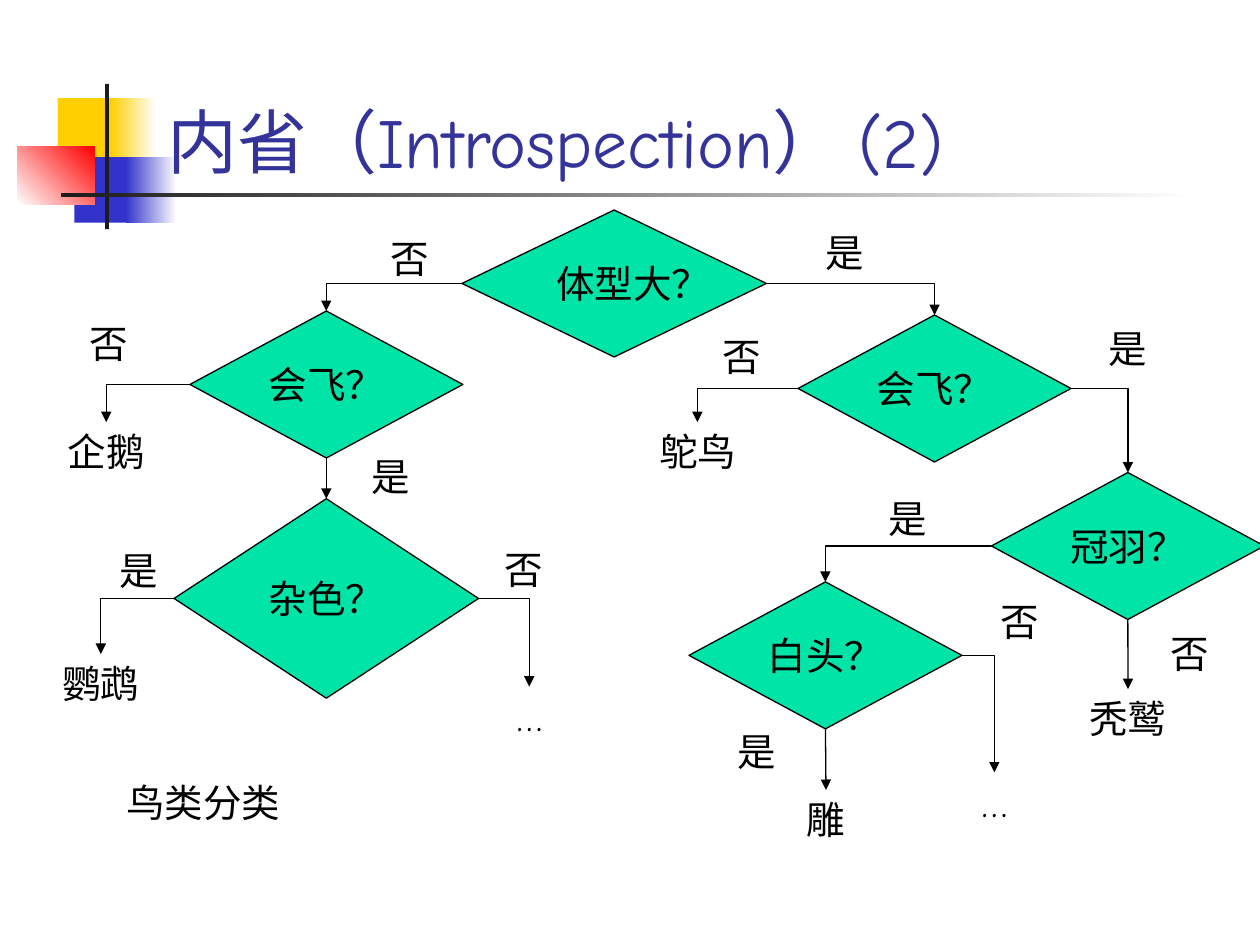
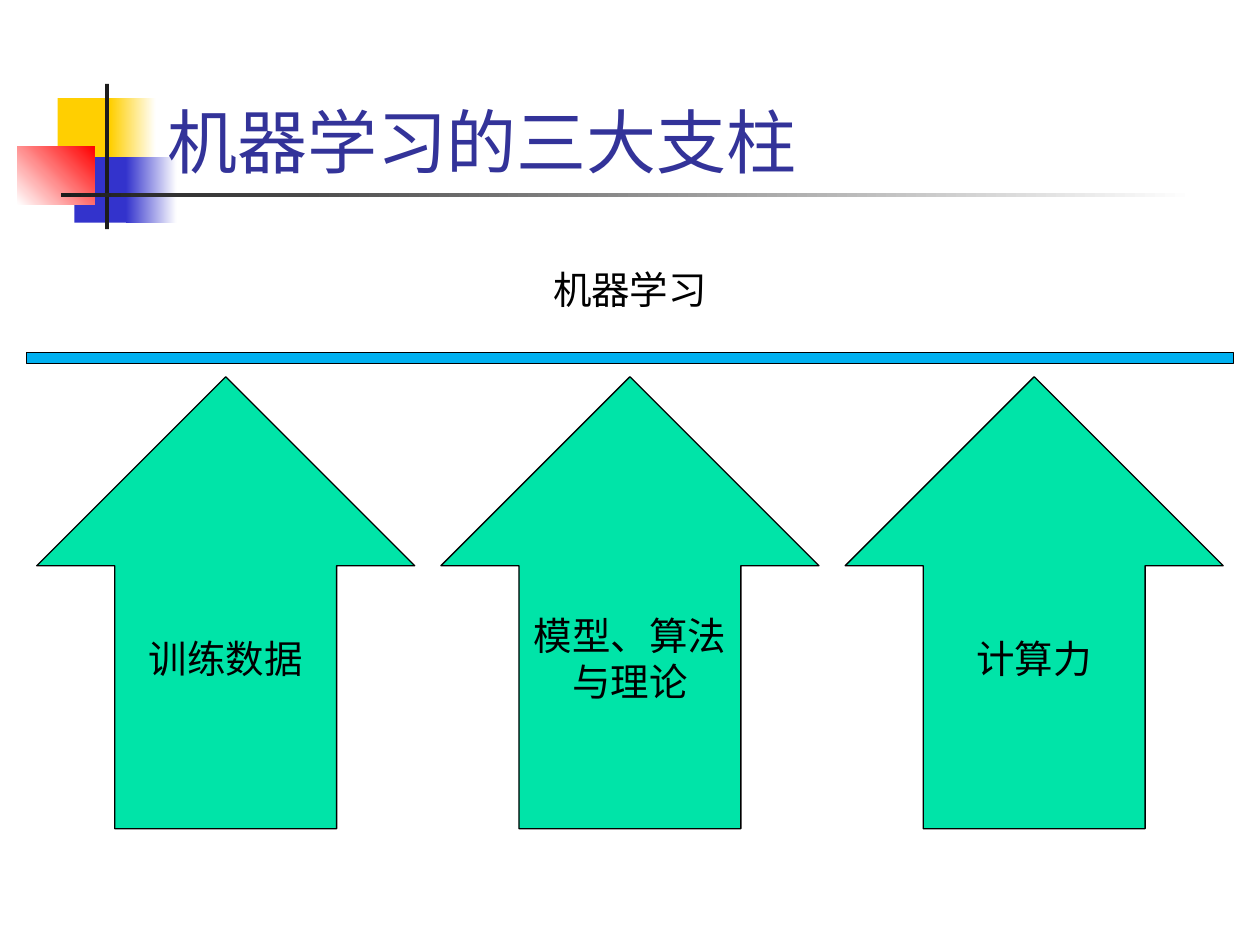
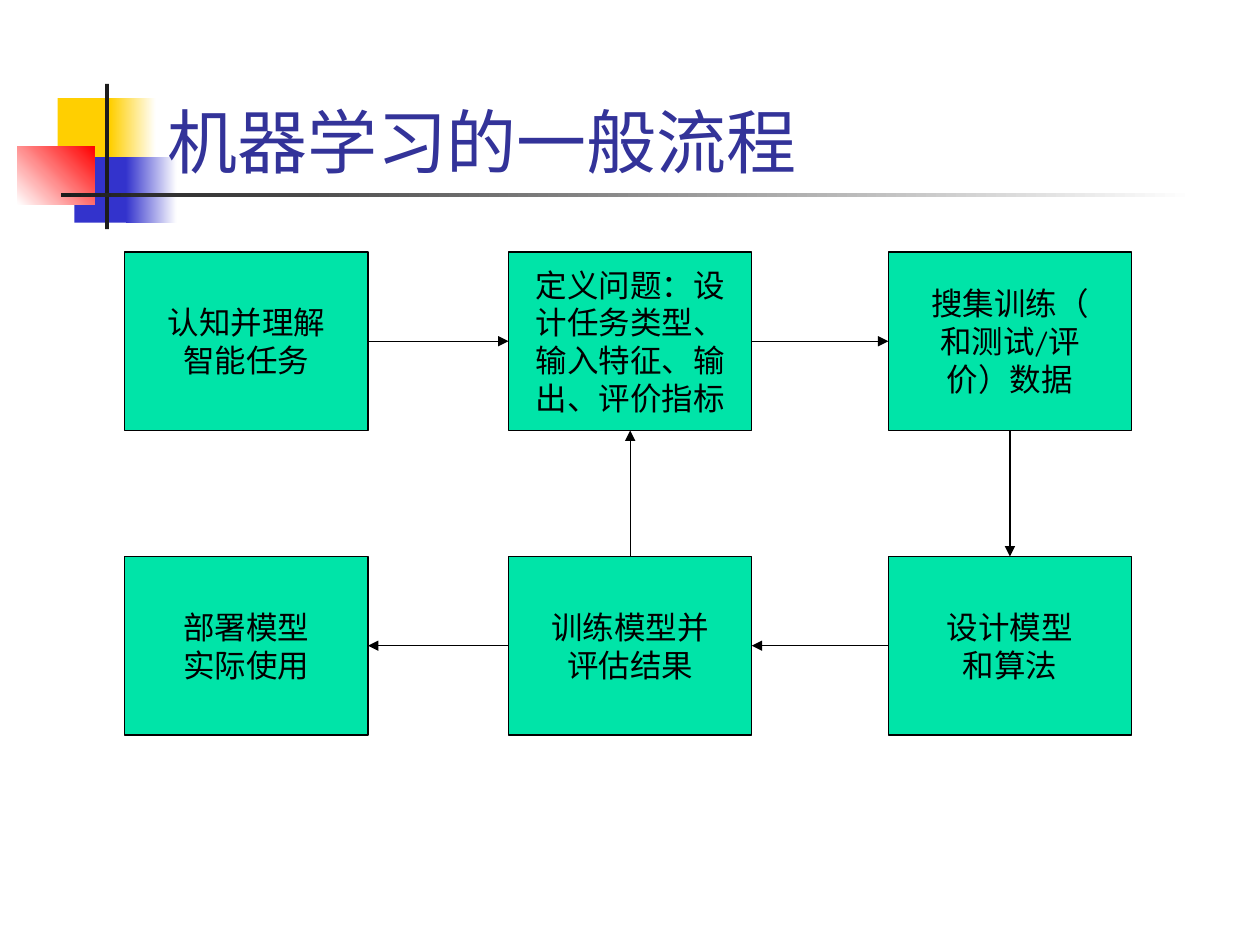
from lxml import etree
from pptx import Presentation
from pptx import util as u
from pptx.dml import color
from pptx.enum import shapes, text
from pptx.oxml import ns

COLORS = {
    "gold": "FFCF01", "blue": "3333CC", "red": "FF0000", "ink": "1C1C1C",
    "title": "333399", "green": "00E4A8", "sky": "00B0F0",
    "black": "000000", "white": "FFFFFF",
}
LATIN, EAST_ASIAN = "Comic Neue", "Noto Sans CJK JP"
TOP, LEFT, BOTTOM, RIGHT = range(4)  # connection sites


def rgb(name):
    return color.RGBColor.from_string(COLORS[name])


class Deck:
    """Holds the shared style and the slide being built."""

    def __init__(self):
        self.presentation = Presentation()
        self.presentation.slide_width = u.Pt(720)
        self.presentation.slide_height = u.Pt(540)
        self.slide = None

    def add_slide(self, title):
        self.slide = self.presentation.slides.add_slide(self.presentation.slide_layouts[6])
        # Corner blocks, then the crossing rules
        self.block(33, 56, 34.5, 37.5, "gold")
        self.block(63, 56, 26, 37.5, "gold", "white")
        self.block(42.5, 89.8, 33, 37.5, "blue")
        self.block(72, 89.8, 29, 37.5, "blue", "white")
        self.block(10, 83.5, 44, 33.5, "white", "red", angle=45)
        self.block(60, 48, 2.3, 83, "ink")
        self.block(34.8, 110.3, 648, 2.2, "ink", "white")
        self.label(title, 88.5, 36, 613.5, 72, size=40, ink="title",
                   align=text.PP_ALIGN.LEFT, anchor=text.MSO_ANCHOR.BOTTOM)

    def block(self, left, top, width, height, start, end=None, angle=0):
        shape = self.preset(shapes.MSO_SHAPE.RECTANGLE, left, top, width, height, start)
        shape.line.fill.background()
        if end:
            shape.fill.gradient()
            shape.fill.gradient_angle = angle
            for stop, position, name in zip(shape.fill.gradient_stops, (0, 1), (start, end)):
                stop.position = position
                stop.color.rgb = rgb(name)

    def preset(self, kind, left, top, width, height, fill="green"):
        shape = self.slide.shapes.add_shape(kind, *map(u.Pt, (left, top, width, height)))
        shape.shadow.inherit = False
        shape.fill.solid()
        shape.fill.fore_color.rgb = rgb(fill)
        shape.line.color.rgb = rgb("black")
        shape.line.width = u.Pt(0.75)
        return shape

    def set_text(self, shape, content, size=22, ink="black",
                 align=text.PP_ALIGN.CENTER, anchor=text.MSO_ANCHOR.MIDDLE):
        frame = shape.text_frame
        frame.word_wrap = True
        frame.vertical_anchor = anchor
        frame.text = content
        for paragraph in frame.paragraphs:
            paragraph.alignment = align
            font = paragraph.font
            font.size, font.name = u.Pt(size), LATIN
            font.color.rgb = rgb(ink)
            properties = paragraph._p.find(".//" + ns.qn("a:defRPr"))
            etree.SubElement(properties, ns.qn("a:ea"), typeface=EAST_ASIAN)
        return shape

    def label(self, content, left, top, width=96.5, height=34,
              anchor=text.MSO_ANCHOR.TOP, **style):
        box = self.slide.shapes.add_textbox(*map(u.Pt, (left, top, width, height)))
        return self.set_text(box, content, anchor=anchor, **style)

    def decision(self, content, left, top, width=156, height=84):
        shape = self.preset(shapes.MSO_SHAPE.FLOWCHART_DECISION, left, top, width, height)
        frame = shape.text_frame
        frame.margin_left = frame.margin_right = frame.margin_top = frame.margin_bottom = 0
        return self.set_text(shape, content)

    def arrow(self, start, start_site, end, end_site=TOP):
        """Joins two shapes; turns one corner when a side leads to a top."""
        bent = start_site in (LEFT, RIGHT) and end_site == TOP
        kind = shapes.MSO_CONNECTOR.ELBOW if bent else shapes.MSO_CONNECTOR.STRAIGHT
        connector = self.slide.shapes.add_connector(kind, 0, 0, 0, 0)
        connector.begin_connect(start, start_site)
        connector.end_connect(end, end_site)
        connector.line.color.rgb = rgb("black")
        connector.line.width = u.Pt(0.75)
        properties = connector._element.spPr
        if bent:
            properties.find(ns.qn("a:prstGeom")).set("prst", "bentConnector2")
        etree.SubElement(properties.find(ns.qn("a:ln")), ns.qn("a:tailEnd"), type="triangle")
        etree.SubElement(properties, ns.qn("a:effectLst"))


def bird_tree(deck):
    deck.add_slide("内省（Introspection） (2)")

    # Questions
    large = deck.decision("体型大？", 264, 120, width=174)
    small_flies = deck.decision("会飞？", 108.5, 177.7)
    mottled = deck.decision("杂色？", 99.5, 285, width=174, height=114)
    large_flies = deck.decision("会飞？", 456, 180)
    crested = deck.decision("冠羽？", 566.5, 270)
    white_head = deck.decision("白头？", 393.7, 332.5)

    # Outcomes
    penguin = deck.label("企鹅", 12.5, 241.2)
    ostrich = deck.label("鸵鸟", 350.3, 241.2)
    vulture = deck.label("秃鹫", 596.3, 393.8)
    parrot = deck.label("鹦鹉", 9.4, 373.7)
    eagle = deck.label("雕", 414, 451.4, width=116)
    other_large = deck.label("…", 520, 441.4)
    other_small = deck.label("…", 254.2, 392.4)

    # Branches
    for start, site, end in (
        (large, LEFT, small_flies), (large, RIGHT, large_flies),
        (small_flies, LEFT, penguin), (small_flies, BOTTOM, mottled),
        (mottled, LEFT, parrot), (mottled, RIGHT, other_small),
        (large_flies, LEFT, ostrich), (large_flies, RIGHT, crested),
        (crested, LEFT, white_head), (crested, BOTTOM, vulture),
        (white_head, BOTTOM, eagle), (white_head, RIGHT, other_large),
    ):
        deck.arrow(start, site, end)

    # Answers beside the branches
    answers = {
        "是": ((434.2, 127.4), (596.2, 182.2), (470.2, 279.4),
              (384, 412.6), (31, 308.9), (175, 255.6)),
        "否": ((185.8, 131), (13.7, 179.3), (375.8, 186.5),
              (631.4, 356.4), (534.2, 338.4), (251.3, 308.2)),
    }
    for answer, places in answers.items():
        for left, top in places:
            deck.label(answer, left, top)

    deck.label("鸟类分类", 8.6, 441.4, width=215.3)


def pillars(deck):
    deck.add_slide("机器学习的三大支柱")
    for index, pillar in enumerate(("训练数据", "模型、算法与理论", "计算力")):
        shape = deck.preset(shapes.MSO_SHAPE.UP_ARROW, 21 + 231 * index, 215.3, 216, 258.3)
        shape.adjustments[0], shape.adjustments[1] = 0.587, 0.5
        deck.set_text(shape, pillar)
    deck.preset(shapes.MSO_SHAPE.RECTANGLE, 15, 201.6, 690, 6, "sky")
    deck.label("机器学习", 129, 148.3, width=462)


def workflow(deck):
    deck.add_slide("机器学习的一般流程")
    columns, rows = (71.3, 290.6, 507.6), (144, 318)
    steps = (
        ("认知并理解\n智能任务", 0, 0),
        ("定义问题：设计任务类型、输入特征、输出、评价指标", 1, 0),
        ("搜集训练（\n和测试/评\n价）数据", 2, 0),
        ("设计模型\n和算法", 2, 1),
        ("训练模型并\n评估结果", 1, 1),
        ("部署模型\n实际使用", 0, 1),
    )
    boxes = [
        deck.set_text(
            deck.preset(shapes.MSO_SHAPE.RECTANGLE, columns[column], rows[row], 139, 102),
            content, size=18)
        for content, column, row in steps
    ]
    task, problem, data, model, training, deployment = boxes

    # Flow, with the loop back to the problem definition
    deck.arrow(task, RIGHT, problem, LEFT)
    deck.arrow(problem, RIGHT, data, LEFT)
    deck.arrow(data, BOTTOM, model, TOP)
    deck.arrow(model, LEFT, training, RIGHT)
    deck.arrow(training, TOP, problem, BOTTOM)
    deck.arrow(training, LEFT, deployment, RIGHT)


def main():
    deck = Deck()
    for build in (bird_tree, pillars, workflow):
        build(deck)
    deck.presentation.save("out.pptx")


if __name__ == "__main__":
    main()
